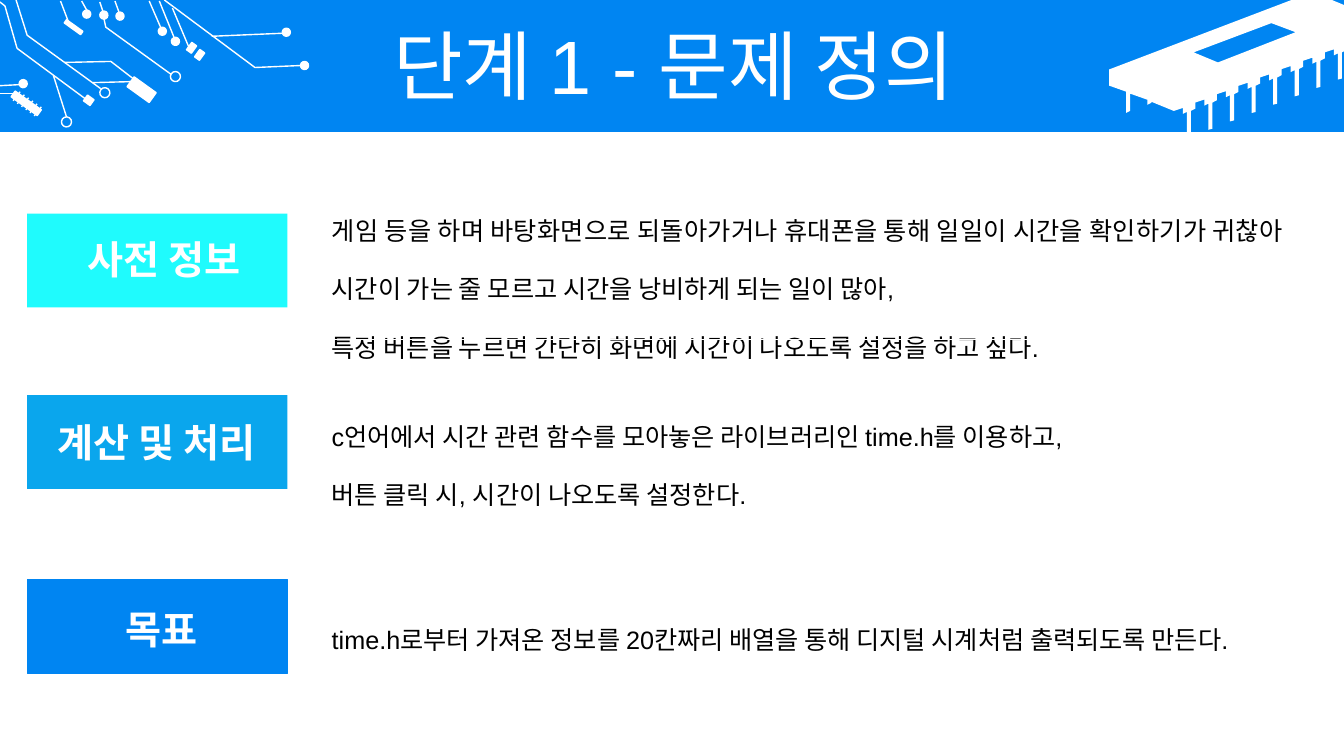
"""Build the problem definition slide with its circuit banner."""
from lxml import etree
from pptx import Presentation
from pptx import util as u
from pptx.dml.color import RGBColor
from pptx.enum import shapes as es, text as et
from pptx.oxml.ns import qn

WHITE = RGBColor(0xFF, 0xFF, 0xFF)
BLACK = RGBColor(0, 0, 0)
BLUE = RGBColor(0x00, 0x85, 0xF2)
SKY = RGBColor(0x0A, 0xA6, 0xED)
CYAN = RGBColor(0x1F, 0xFB, 0xFD)
RECT = es.MSO_SHAPE.RECTANGLE
OVAL = es.MSO_SHAPE.OVAL
ALIGN = et.PP_ALIGN
TILT = 35.7


def paint(shape, fill=None, line=None):
    shape.shadow.inherit = False
    if fill is None:
        shape.fill.background()
    else:
        shape.fill.solid()
        shape.fill.fore_color.rgb = fill
    if line is None:
        shape.line.fill.background()
    else:
        shape.line.color.rgb = line
        shape.line.width = u.Pt(1)


def write(frame, words, size, color, align, space=None, bold=False):
    frame.text = words
    frame.word_wrap = True
    for para in frame.paragraphs:
        para.alignment = align
        para.line_spacing = space
        for run in para.runs:
            run.font.name = "Arial"
            run.font.size = u.Pt(size)
            run.font.bold = bold
            run.font.color.rgb = color


prs = Presentation()
prs.slide_width = u.Inches(13.33)
prs.slide_height = u.Inches(7.5)
slide = prs.slides.add_slide(prs.slide_layouts[6])
items = slide.shapes

banner = items.add_shape(RECT, 0, 0, prs.slide_width, u.Inches(1.31))
paint(banner, BLUE)

edge = [(12.81, 0), (13.21, 0), (13.33, 0.05), (13.33, 0.51)]
leg = [(0, 0), (0, 0.26), (-0.04, 0.27), (-0.04, 0.01),
       (-0.08, 0.03), (-0.08, -0.03), (-0.17, 0), (-0.17, 0.06)]
for i in range(8):
    edge += [(13.31 - 0.214 * i + x, 0.52 + 0.083 * i + y) for x, y in leg]
edge.pop()
edge += [(11.42, 1.01), (11.42, 1.02), (11.38, 1.04), (11.38, 0.99),
         (11.21, 0.93), (11.21, 1.1), (11.17, 1.12), (11.17, 0.91),
         (11, 0.85), (11, 0.69)]
hole = [(12.61, 0.23), (11.84, 0.52), (12.08, 0.62), (12.85, 0.32)]
edge = [(u.Inches(x), u.Inches(y)) for x, y in edge]
hole = [(u.Inches(x), u.Inches(y)) for x, y in hole]
pen = items.build_freeform(*hole[0])
pen.add_line_segments(hole[1:])
pen.move_to(*edge[0])
pen.add_line_segments(edge[1:])
paint(pen.convert_to_shape(), WHITE)

wires = [
    [(1.63, 0), (2.53, 0.67), (2.99, 0.65)],
    [(0.16, 0), (0.27, 0.35), (1, 0.88)],
    [(0, 0.02), (0.05, 0.06), (0.17, 0.48), (0.86, 0.99)],
    [(0.64, 0.62), (1.1, 0.61), (1.32, 0.78)],
    [(1.03, 0.18), (1.05, 0.27), (1.7, 0.74)],
]
for wire in wires:
    dots = [(u.Inches(x), u.Inches(y)) for x, y in wire]
    pen = items.build_freeform(*dots[0])
    pen.add_line_segments(dots[1:], close=False)
    paint(pen.convert_to_shape(), None, WHITE)

links = [
    (0.6, 0.01, 0.68, 0.22), (0.81, 0.01, 0.86, 0.1),
    (0.99, 0.02, 1.02, 0.11), (1.14, 0.01, 1.18, 0.12),
    (1.48, 0.01, 1.61, 0.31), (1.58, 0.01, 1.73, 0.38),
    (2.1, 0.36, 2.8, 0.33), (1.71, 0.08, 1.87, 0.46),
    (0, 0.85, 0.19, 0.84), (0, 0.93, 0.14, 0.93),
    (0.53, 0.75, 0.66, 1.16), (0.92, 0.82, 1.3, 0.81),
]
for i in range(6):
    x, y = 0.13 + 0.042 * i, 1 + 0.03 * i
    links.append((x, y, x + 0.07, y - 0.09))
for ends in links:
    link = items.add_connector(es.MSO_CONNECTOR.STRAIGHT, *map(u.Inches, ends))
    link.line.color.rgb = WHITE
    link.line.width = u.Pt(1)
    etree.SubElement(link._element.spPr, qn("a:effectLst"))

pads = [(2.98, 0.61), (2.8, 0.28), (0.82, 0.1), (0.99, 0.11), (1.15, 0.12),
        (0.19, 0.79), (1.7, 0.37), (1.57, 0.27)]
rings = [(1.69, 0.71), (0.99, 0.87), (0.61, 1.16)]
bars = [(1.27, 0.83, 0.27, 0.12), (0.63, 0.25, 0.2, 0.04),
        (0.84, 0.96, 0.08, 0.07), (1.87, 0.43, 0.06, 0.09),
        (1.95, 0.5, 0.06, 0.09), (0.1, 0.99, 0.32, 0.07)]
parts = [(OVAL, (x, y, 0.08, 0.08), WHITE) for x, y in pads]
parts += [(OVAL, (x, y, 0.1, 0.1), None) for x, y in rings]
parts += [(RECT, bar, WHITE) for bar in bars]
for kind, area, fill in parts:
    part = items.add_shape(kind, *map(u.Inches, area))
    part.rotation = TILT
    paint(part, fill, WHITE)

title = items.add_textbox(*map(u.Inches, (0.35, 0.3, 12.66, 0.79)))
write(title.text_frame, "단계 1 - 문제 정의", 54, WHITE, ALIGN.CENTER, 0.9)
title.text_frame.vertical_anchor = et.MSO_ANCHOR.MIDDLE

steps = [
    ("사전 정보", CYAN, None, 2.12, (0.61, 2.29, 2.04, 0.57), 1.83,
     "게임 등을 하며 바탕화면으로 되돌아가거나 휴대폰을 통해 일일이 시간을 확인하기가 귀찮아 "
     "시간이 가는 줄 모르고 시간을 낭비하게 되는 일이 많아,\n"
     "특정 버튼을 누르면 간단히 화면에 시간이 나오도록 설정을 하고 싶다."),
    ("계산 및 처리", SKY, None, 3.92, (0.36, 4.1, 2.39, 0.56), 3.87,
     "c언어에서 시간 관련 함수를 모아놓은 라이브러리인 time.h를 이용하고,\n"
     "버튼 클릭 시, 시간이 나오도록 설정한다."),
    ("목표", BLUE, BLUE, 5.75, (0.57, 5.96, 2.06, 0.57), 5.89,
     "time.h로부터 가져온 정보를 20칸짜리 배열을 통해 디지털 시계처럼 출력되도록 만든다."),
]
for name, fill, line, top, area, row, words in steps:
    box = items.add_shape(RECT, *map(u.Inches, (0.27, top, 2.58, 0.93)))
    paint(box, fill, line)
    label = items.add_textbox(*map(u.Inches, area))
    write(label.text_frame, name, 28, WHITE, ALIGN.CENTER, bold=True)
    place = map(u.Inches, (3.19, row, 9.64, 1.38))
    table = items.add_table(1, 1, *place).table
    table.first_row = False
    table.horz_banding = False
    cell = table.cell(0, 0)
    cell.fill.solid()
    cell.fill.fore_color.rgb = WHITE
    write(cell.text_frame, words, 18, BLACK, ALIGN.JUSTIFY, 1.6)

prs.save("out.pptx")
